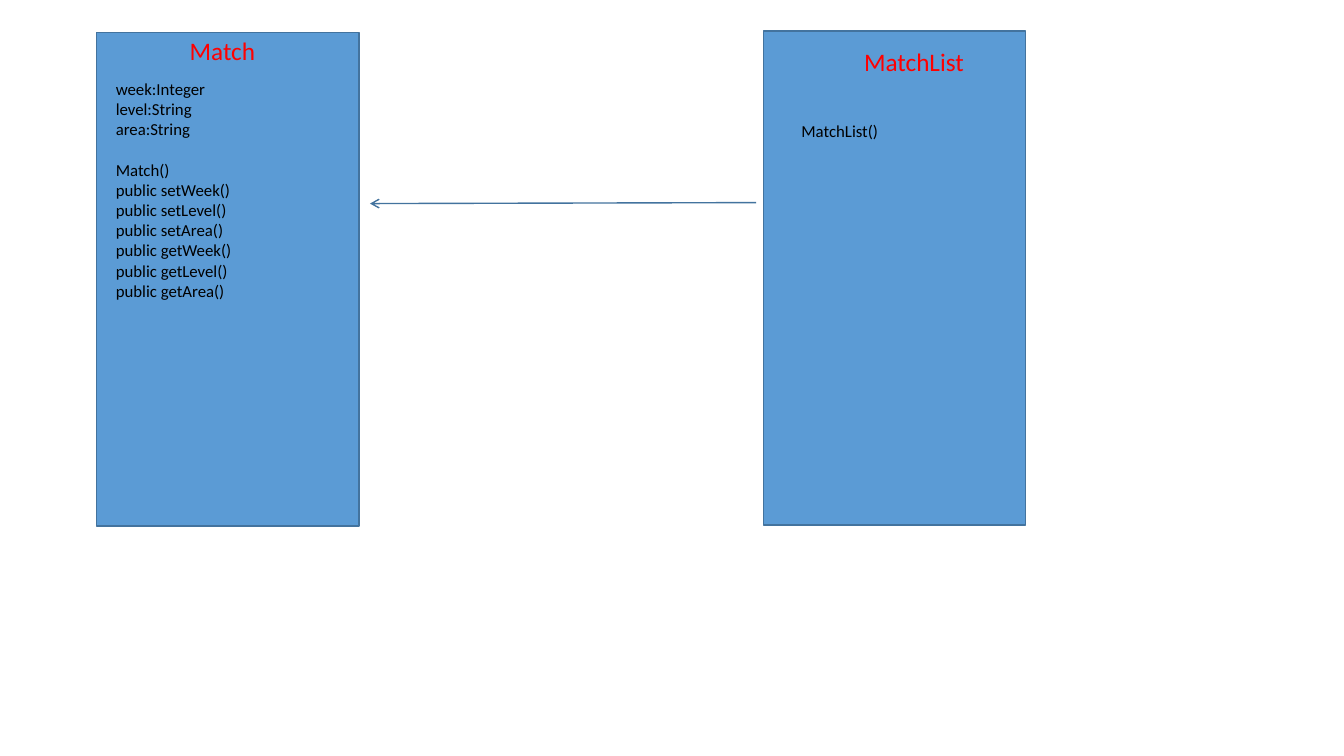
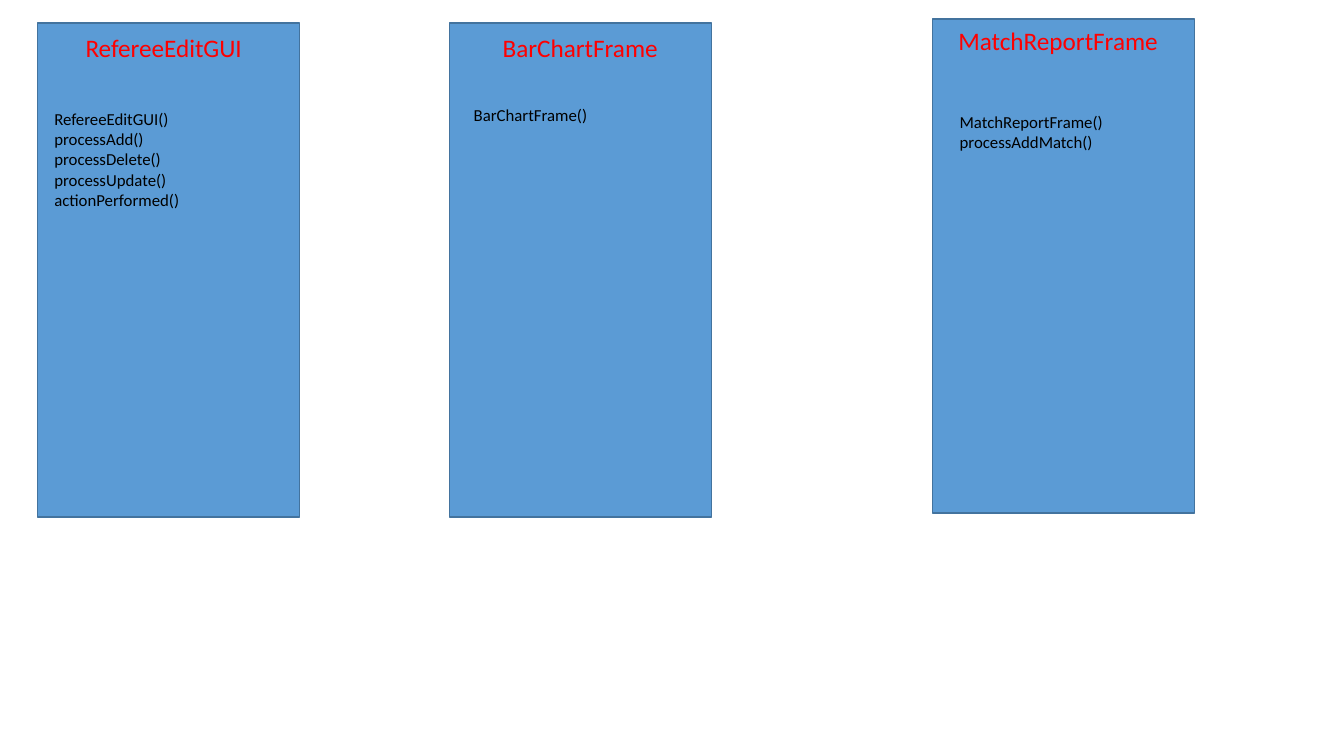
from dataclasses import dataclass

from lxml.etree import SubElement
from pptx import Presentation
from pptx.dml.color import RGBColor
from pptx.enum.shapes import MSO_CONNECTOR as Connector, MSO_SHAPE as Shape
from pptx.enum.text import MSO_ANCHOR as Anchor, PP_ALIGN as Align
from pptx.oxml.ns import qn
from pptx.util import Inches, Pt


@dataclass(frozen=True)
class Theme:
    font: str = "Calibri"
    fill: RGBColor = RGBColor(0x5B, 0x9B, 0xD5)
    line: RGBColor = RGBColor(0x43, 0x73, 0x9E)
    title: RGBColor = RGBColor(0xFF, 0x00, 0x00)
    text: RGBColor = RGBColor(0x00, 0x00, 0x00)
    title_size: int = 18
    text_size: int = 12
    group_gap: float = 14.6
    line_width: int = 1


@dataclass(frozen=True)
class ClassBox:
    left: float
    top: float
    title: str
    title_offset: tuple
    title_width: float
    groups: tuple
    text_offset: tuple
    text_width: float = 2.42


THEME = Theme()
BOX_WIDTH, BOX_HEIGHT = 2.6, 4.9
TITLE_HEIGHT, LINE_HEIGHT, TEXT_MARGIN = 0.4, 0.2, 0.1
ARROW_DROP, ARROW_START_GAP, ARROW_END_GAP = 1.7, 0.07, 0.11

MATCH = ClassBox(
    0.96, 0.32, "Match", (-0.08, -0.02), 2.65,
    (("week:Integer", "level:String", "area:String"),
     ("Match()", "public setWeek()", "public setLevel()", "public setArea()",
      "public getWeek()", "public getLevel()", "public getArea()")),
    (0.09, 0.41))
MATCH_LIST = ClassBox(
    7.57, 0.31, "MatchList", (0.3, 0.1), 2.39,
    (("MatchList()",),), (0.28, 0.84))
FRAMES = (
    ClassBox(0.37, 0.23, "RefereeEditGUI", (0.04, 0.04), 2.43,
             (("RefereeEditGUI()", "processAdd()", "processDelete()",
               "processUpdate()", "actionPerformed()"),),
             (0.07, 0.8), 2.5),
    ClassBox(4.46, 0.23, "BarChartFrame", (0.08, 0.04), 2.43,
             (("BarChartFrame()",),), (0.14, 0.76), 2.3),
    ClassBox(9.25, 0.19, "MatchReportFrame", (0.03, 0.01), 2.43,
             (("MatchReportFrame()", "processAddMatch()"),),
             (0.17, 0.87), 2.3),
)


def add_text(page, left, top, width, height, groups, size, color, align):
    box = page.shapes.add_textbox(
        Inches(left), Inches(top), Inches(width), Inches(height))
    frame = box.text_frame
    frame.word_wrap = True
    frame.vertical_anchor = Anchor.TOP
    lines = [(text, group_index > 0 and text_index == 0)
             for group_index, group in enumerate(groups)
             for text_index, text in enumerate(group)]
    for index, (text, opens_group) in enumerate(lines):
        para = frame.add_paragraph() if index else frame.paragraphs[0]
        para.text = text
        para.alignment = align
        para.font.name = THEME.font
        para.font.size = Pt(size)
        para.font.color.rgb = color
        if opens_group:
            para.space_before = Pt(THEME.group_gap)


def draw_class(page, box):
    panel = page.shapes.add_shape(
        Shape.RECTANGLE, Inches(box.left), Inches(box.top),
        Inches(BOX_WIDTH), Inches(BOX_HEIGHT))
    panel.shadow.inherit = False
    panel.fill.solid()
    panel.fill.fore_color.rgb = THEME.fill
    panel.line.color.rgb = THEME.line
    panel.line.width = Pt(THEME.line_width)

    shift_x, shift_y = box.title_offset
    add_text(page, box.left + shift_x, box.top + shift_y, box.title_width,
             TITLE_HEIGHT, ((box.title,),), THEME.title_size, THEME.title,
             Align.CENTER)

    shift_x, shift_y = box.text_offset
    line_count = sum(map(len, box.groups)) + len(box.groups) - 1
    add_text(page, box.left + shift_x, box.top + shift_y, box.text_width,
             line_count * LINE_HEIGHT + TEXT_MARGIN, box.groups,
             THEME.text_size, THEME.text, Align.JUSTIFY)


def draw_arrow(page, source, target):
    arrow = page.shapes.add_connector(
        Connector.STRAIGHT,
        Inches(source.left - ARROW_START_GAP),
        Inches(source.top + ARROW_DROP),
        Inches(target.left + BOX_WIDTH + ARROW_END_GAP),
        Inches(target.top + ARROW_DROP))
    arrow.line.color.rgb = THEME.line
    arrow.line.width = Pt(THEME.line_width)
    SubElement(arrow.line._get_or_add_ln(), qn("a:tailEnd"), type="arrow")
    SubElement(arrow._element.spPr, qn("a:effectLst"))


def add_class_page(deck, boxes):
    page = deck.slides.add_slide(deck.slide_layouts[6])
    for box in boxes:
        draw_class(page, box)
    return page


def main():
    deck = Presentation()
    deck.slide_width = Inches(13.33)
    deck.slide_height = Inches(7.5)
    match_page = add_class_page(deck, (MATCH, MATCH_LIST))
    draw_arrow(match_page, MATCH_LIST, MATCH)
    add_class_page(deck, FRAMES)
    deck.save("out.pptx")


if __name__ == "__main__":
    main()
